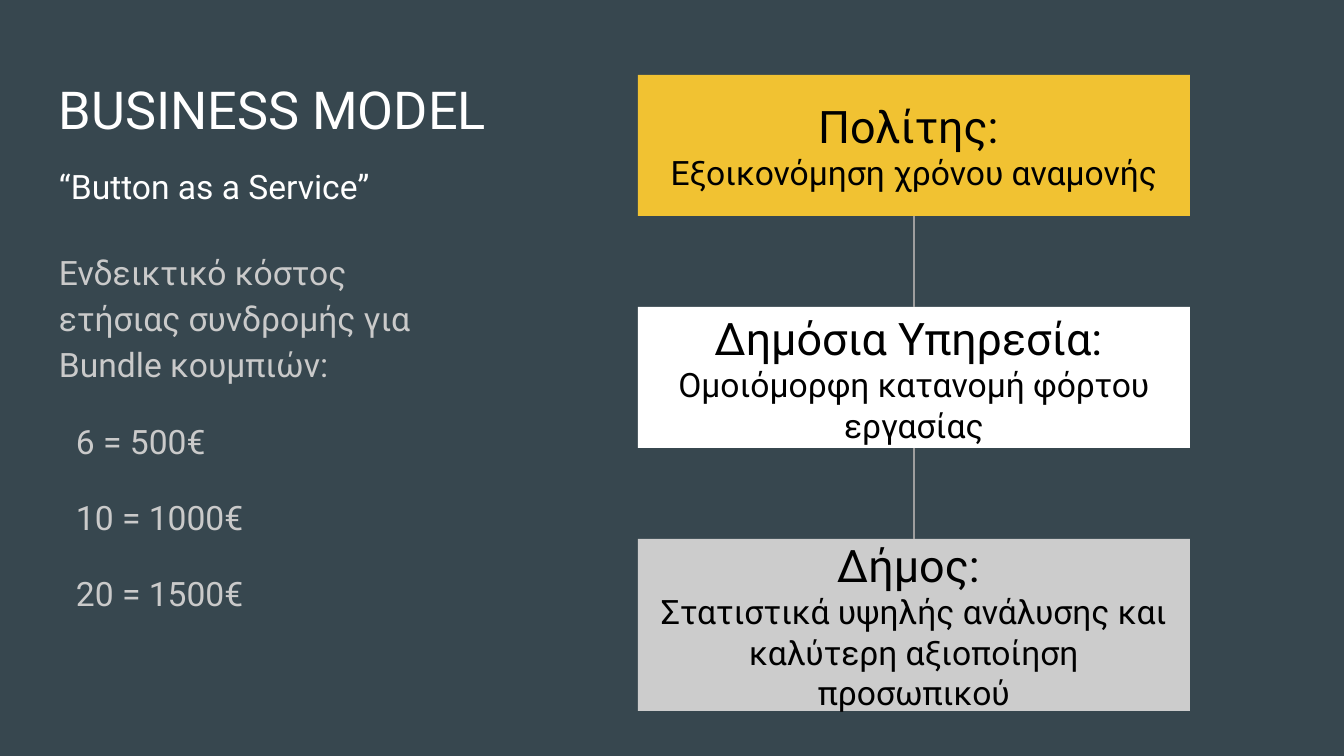
from lxml.etree import SubElement
from pptx import Presentation
from pptx.dml.color import RGBColor
from pptx.enum.shapes import MSO_CONNECTOR, MSO_SHAPE
from pptx.enum.text import MSO_ANCHOR, MSO_AUTO_SIZE, PP_ALIGN
from pptx.oxml.ns import qn
from pptx.util import Pt

PX = 914400 / 134.4  # EMU per px
COLORS = {
    "background": "37474F",
    "white": "FFFFFF",
    "black": "000000",
    "muted": "CACACA",
    "line": "9E9E9E",
    "citizen": "F1C232",
    "municipality": "CCCCCC",
}


def px(n):
    return round(n * PX)


def rgb(name):
    return RGBColor.from_string(COLORS[name])


def write(p, text, size=18, color="white", align=PP_ALIGN.LEFT,
          spacing=1.0, after=0, indent=0):
    """Fill one paragraph with formatted text."""
    p.alignment = align
    p.line_spacing = spacing
    p.space_after = Pt(after)
    if indent:
        p._p.get_or_add_pPr().set("marL", str(px(indent)))
    r = p.add_run()
    r.text = text
    r.font.name = "Roboto"
    r.font.size = Pt(size)
    r.font.color.rgb = rgb(color)


class SlideBuilder:
    def __init__(self, prs):
        self.slide = prs.slides.add_slide(prs.slide_layouts[5])
        fill = self.slide.background.fill
        fill.solid()
        fill.fore_color.rgb = rgb("background")

    def frame(self, sp, anchor, paragraphs):
        tf = sp.text_frame
        tf.word_wrap = True
        tf.auto_size = MSO_AUTO_SIZE.NONE
        tf.vertical_anchor = anchor
        tf.margin_left = tf.margin_right = px(13)
        tf.margin_top = tf.margin_bottom = px(13)
        for i, (text, style) in enumerate(paragraphs):
            p = tf.add_paragraph() if i else tf.paragraphs[0]
            write(p, text, **style)

    def title(self, text, x, y, w, h):
        sp = self.slide.shapes.title
        sp.left, sp.top, sp.width, sp.height = map(px, (x, y, w, h))
        self.frame(sp, MSO_ANCHOR.BOTTOM, [(text, dict(size=28))])

    def text(self, paragraphs, x, y, w, h):
        sp = self.slide.shapes.add_textbox(*map(px, (x, y, w, h)))
        self.frame(sp, MSO_ANCHOR.TOP, paragraphs)

    def box(self, heading, detail, fill, x, y, w, h):
        sp = self.slide.shapes.add_shape(MSO_SHAPE.RECTANGLE, *map(px, (x, y, w, h)))
        sp.shadow.inherit = False
        sp.fill.solid()
        sp.fill.fore_color.rgb = rgb(fill)
        sp.line.fill.background()
        style = dict(color="black", align=PP_ALIGN.CENTER)
        self.frame(sp, MSO_ANCHOR.MIDDLE,
                   [(heading, dict(style, size=24)), (detail, style)])
        return sp

    def connect(self, upper, lower):
        line = self.slide.shapes.add_connector(MSO_CONNECTOR.STRAIGHT, 0, 0, 0, 0)
        line.begin_connect(upper, 2)
        line.end_connect(lower, 0)
        line.line.color.rgb = rgb("line")
        line.line.width = Pt(0.75)
        SubElement(line._element.spPr, qn("a:effectLst"))


def main():
    prs = Presentation()
    prs.slide_width, prs.slide_height = px(1344), px(756)
    s = SlideBuilder(prs)

    # Title and subscription prices
    s.title("BUSINESS MODEL", 46, 42, 496, 111)
    body = dict(color="muted", spacing=1.15, after=16)
    prices = ["6 = 500€", "10 = 1000€", "20 = 1500€"]
    s.text([
        ("“Button as a Service”", dict(after=21)),
        ("Ενδεικτικό κόστος ετήσιας συνδρομής για Bundle κουμπιών:", body),
        *[(price, dict(body, indent=17)) for price in prices],
    ], 46, 153, 413, 598)

    # Beneficiaries, from citizen to municipality
    beneficiaries = [
        ("Πολίτης: ", "Εξοικονόμηση χρόνου αναμονής", "citizen", 141),
        ("Δημόσια Υπηρεσία: ", "Ομοιόμορφη κατανομή φόρτου εργασίας", "white", 141),
        ("Δήμος: ", "Στατιστικά υψηλής ανάλυσης και καλύτερη αξιοποίηση προσωπικού",
         "municipality", 172),
    ]
    top, pitch = 75, 232
    boxes = [s.box(heading, detail, fill, 638, top + i * pitch, 552, h)
             for i, (heading, detail, fill, h) in enumerate(beneficiaries)]
    for upper, lower in zip(boxes, boxes[1:]):
        s.connect(upper, lower)

    prs.save("out.pptx")


if __name__ == "__main__":
    main()
